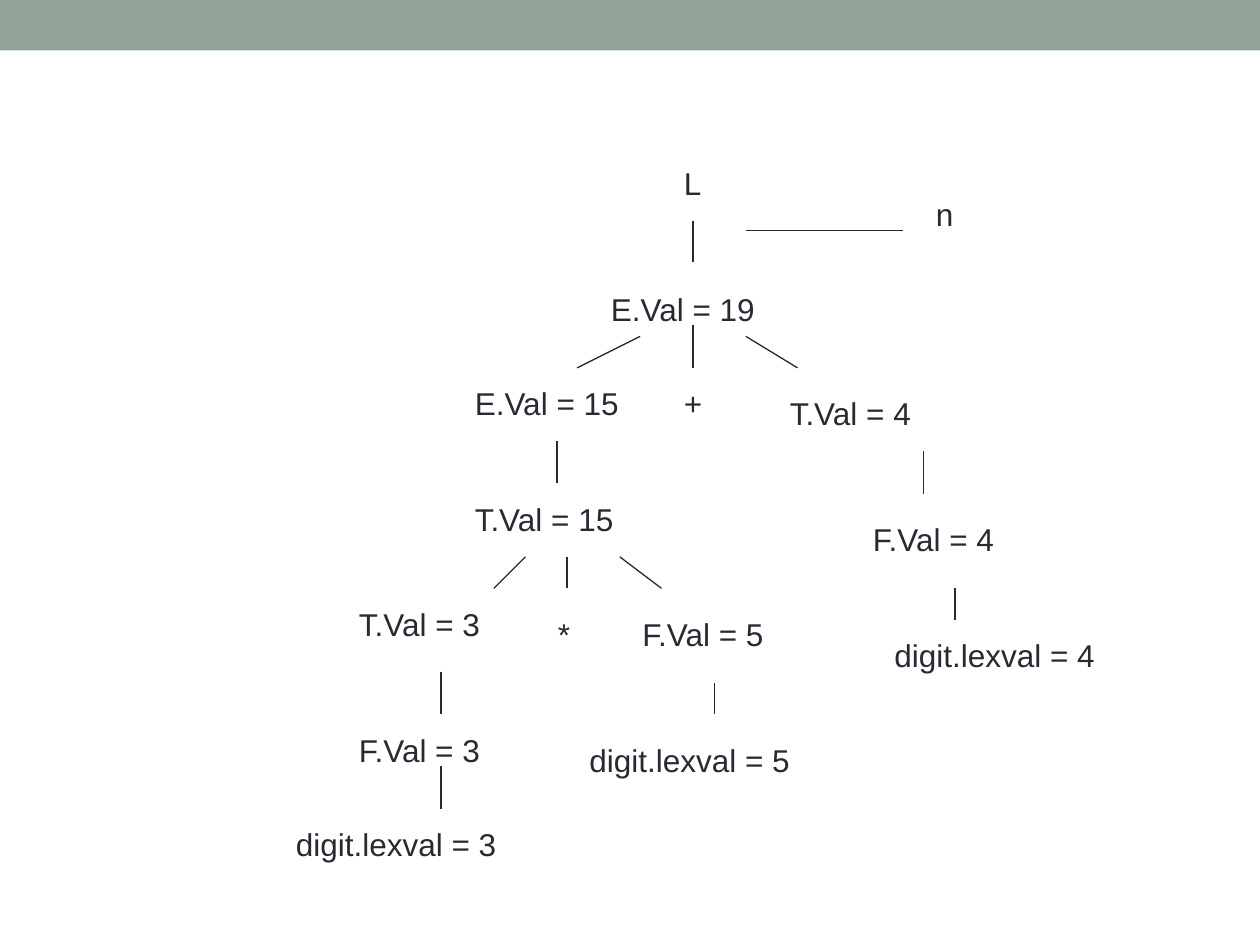
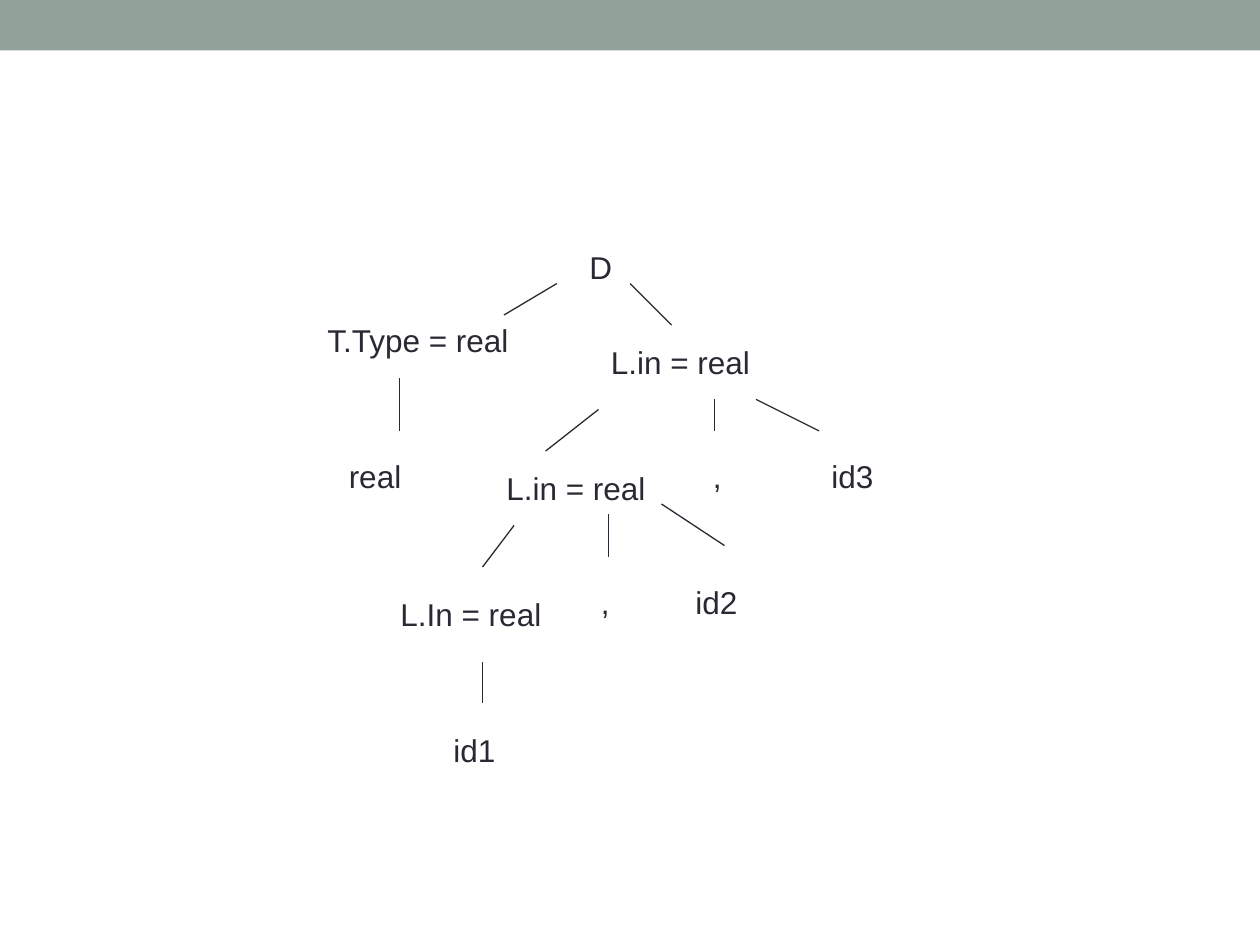
from pptx import Presentation
from pptx.dml.color import RGBColor
from pptx.enum.shapes import MSO_CONNECTOR, MSO_SHAPE
from pptx.enum.text import MSO_AUTO_SIZE
from pptx.oxml.ns import qn
from pptx.util import Inches, Pt
from lxml.etree import SubElement

COLORS = {"band": "93A299", "ink": "292934"}
FONT = "Arial"
BLANK_LAYOUT = 6
NODE_HEIGHT = 0.4

# Nodes: label, left, top, width. Branches: start x, start y, end x, end y.
EXPRESSION_NODES = [
    ("L", 5.33, 1.25, 0.33),
    ("n", 7.33, 1.5, 0.33),
    ("E.Val = 19", 4.75, 2.25, 1.75),
    ("E.Val = 15", 3.67, 3, 1.42),
    ("+", 5.33, 3, 0.33),
    ("T.Val = 4", 6.17, 3.08, 1.33),
    ("T.Val = 15", 3.67, 3.92, 1.5),
    ("F.Val = 4", 6.83, 4.08, 1.33),
    ("T.Val = 3", 2.75, 4.75, 1.42),
    ("*", 4.33, 4.83, 0.42),
    ("F.Val = 5", 5, 4.83, 1.25),
    ("digit.lexval = 4", 7, 5, 2),
    ("F.Val = 3", 2.75, 5.75, 1.33),
    ("digit.lexval = 5", 4.58, 5.83, 1.83),
    ("digit.lexval = 3", 2.25, 6.5, 2),
]
EXPRESSION_BRANCHES = [
    (5.5, 1.75, 5.5, 2.08),
    (5.92, 1.83, 7.17, 1.83),
    (5.08, 2.67, 4.58, 2.92),
    (5.5, 2.58, 5.5, 2.92),
    (5.92, 2.67, 6.33, 2.92),
    (4.42, 3.5, 4.42, 3.83),
    (7.33, 3.58, 7.33, 3.92),
    (4.17, 4.42, 3.92, 4.67),
    (4.5, 4.42, 4.5, 4.67),
    (4.92, 4.42, 5.25, 4.67),
    (7.58, 4.67, 7.58, 4.92),
    (3.5, 5.33, 3.5, 5.67),
    (5.67, 5.42, 5.67, 5.67),
    (3.5, 6.08, 3.5, 6.42),
]

DECLARATION_NODES = [
    ("D", 4.58, 1.92, 0.67),
    ("T.Type = real", 2.5, 2.5, 2),
    ("L.in = real", 4.75, 2.67, 1.83),
    ("real", 2.67, 3.58, 1),
    ("L.in = real", 3.92, 3.67, 1.33),
    (",", 5.56, 3.58, 0.3),
    ("id3", 6.5, 3.58, 0.75),
    ("L.In = real", 3.08, 4.67, 1.5),
    (",", 4.67, 4.58, 0.5),
    ("id2", 5.42, 4.58, 1),
    ("id1", 3.5, 5.75, 1.25),
]
DECLARATION_BRANCHES = [
    (4.42, 2.25, 4, 2.5),
    (5, 2.25, 5.33, 2.58),
    (3.17, 3, 3.17, 3.42),
    (4.75, 3.25, 4.33, 3.58),
    (5.67, 3.17, 5.67, 3.42),
    (6, 3.17, 6.5, 3.42),
    (4.08, 4.17, 3.83, 4.5),
    (4.83, 4.08, 4.83, 4.42),
    (5.25, 4, 5.75, 4.33),
    (3.83, 5.25, 3.83, 5.58),
]


def color(name):
    return RGBColor.from_string(COLORS[name])


def add_band(page, width):
    band = page.shapes.add_shape(MSO_SHAPE.RECTANGLE, 0, 0, width, Inches(0.4))
    band.shadow.inherit = False
    band.fill.solid()
    band.fill.fore_color.rgb = color("band")
    band.line.fill.background()


def add_node(page, label, left, top, width):
    box = page.shapes.add_textbox(
        Inches(left), Inches(top), Inches(width), Inches(NODE_HEIGHT))
    frame = box.text_frame
    frame.word_wrap = True
    frame.auto_size = MSO_AUTO_SIZE.SHAPE_TO_FIT_TEXT
    span = frame.paragraphs[0].add_run()
    span.text = label
    span.font.name = FONT
    span.font.size = Pt(18)
    span.font.color.rgb = color("ink")


def add_branch(page, *ends):
    branch = page.shapes.add_connector(
        MSO_CONNECTOR.STRAIGHT, *[Inches(value) for value in ends])
    branch.line.color.rgb = color("ink")
    branch.line.width = Pt(0.75)
    SubElement(branch.element.spPr, qn("a:effectLst"))


def add_tree_slide(deck, nodes, branches):
    page = deck.slides.add_slide(deck.slide_layouts[BLANK_LAYOUT])
    add_band(page, deck.slide_width)
    for branch in branches:
        add_branch(page, *branch)
    for node in nodes:
        add_node(page, *node)


def main():
    deck = Presentation()
    deck.slide_width = Inches(10)
    deck.slide_height = Inches(7.5)
    add_tree_slide(deck, EXPRESSION_NODES, EXPRESSION_BRANCHES)
    add_tree_slide(deck, DECLARATION_NODES, DECLARATION_BRANCHES)
    deck.save("out.pptx")


if __name__ == "__main__":
    main()
